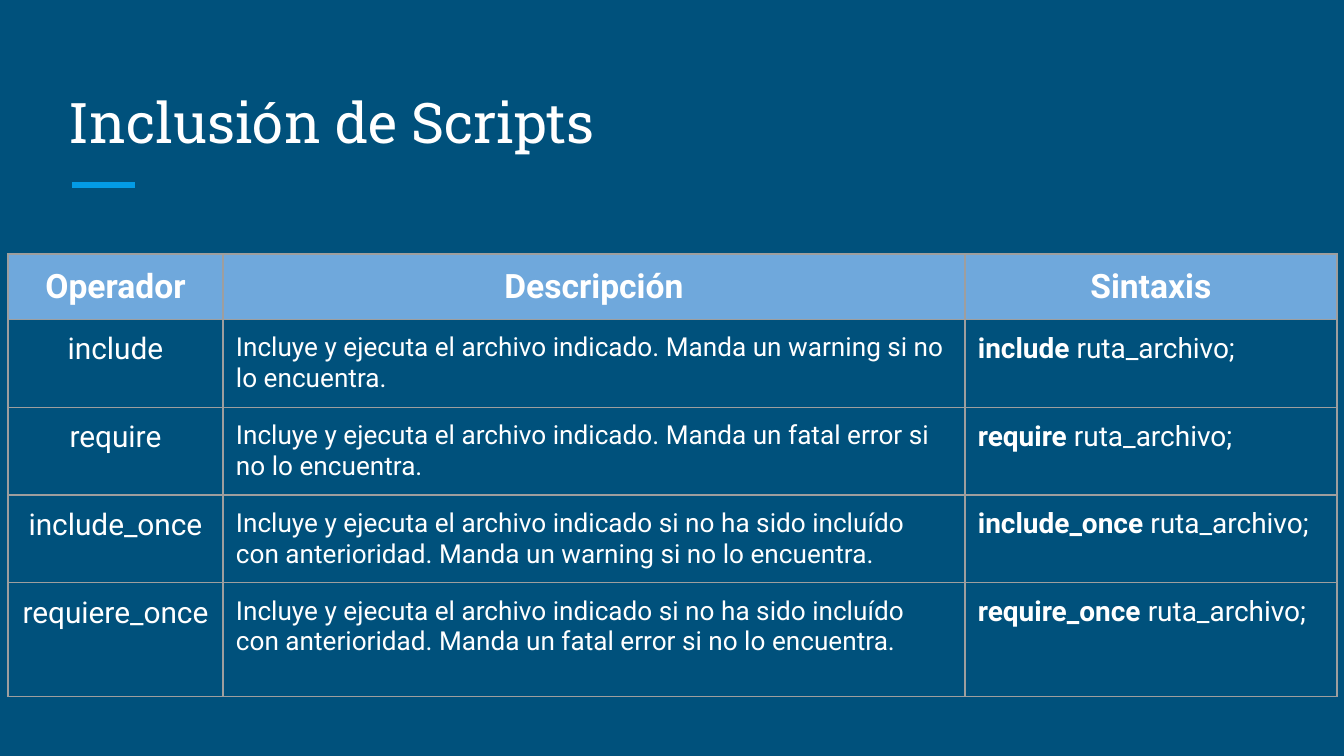
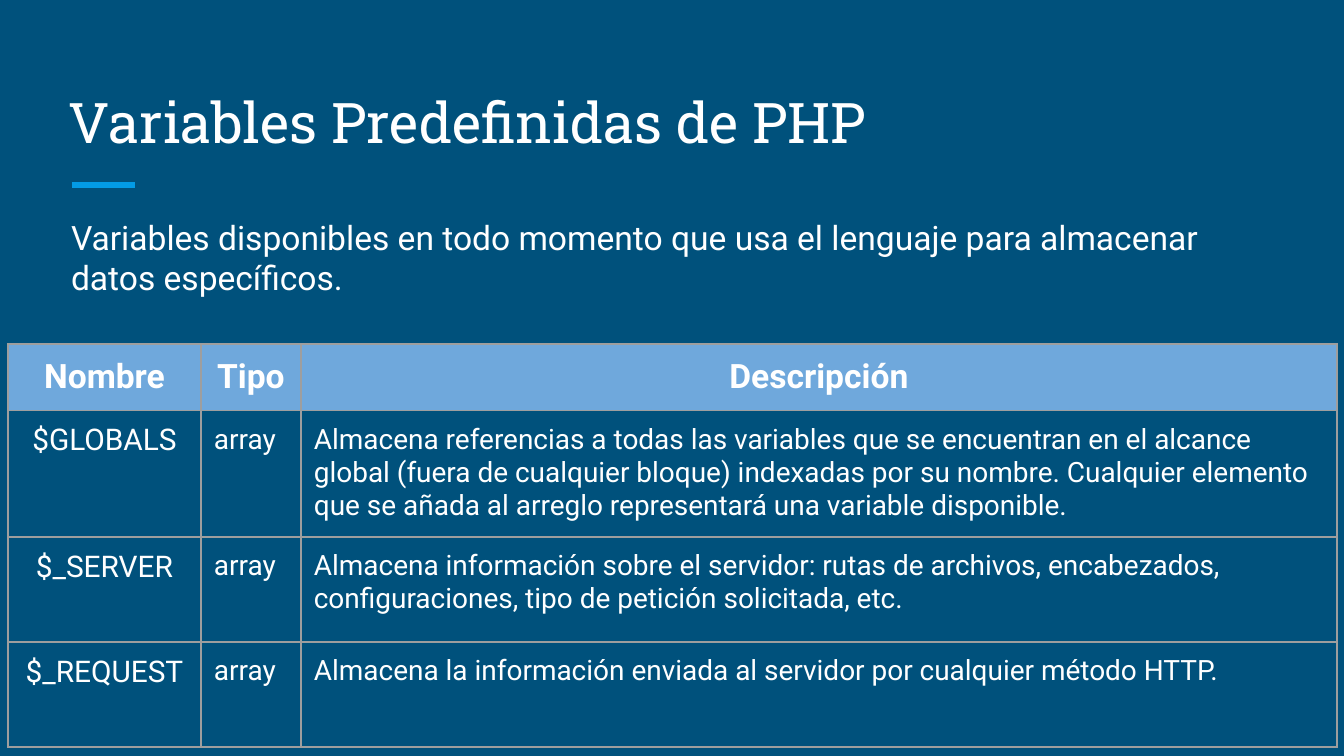
import pptx
import pptx.dml.color
import pptx.enum.shapes
import pptx.enum.text
import pptx.oxml
import pptx.oxml.ns
import pptx.util
from dataclasses import dataclass

ALIGN = pptx.enum.text.PP_ALIGN

# Each cell is a string, or a (bold keyword, plain rest) pair.
PAGES = [
    {
        "title": "Inclusión de Scripts",
        "table_top": 254,
        "columns": [215, 742, 372],
        "rows": [65, 85, 85, 85, 114],
        "sizes": [16, 14, 15],
        "cells": [
            ["Operador", "Descripción", "Sintaxis"],
            ["include",
             "Incluye y ejecuta el archivo indicado. Manda un warning si no lo encuentra.",
             ("include", " ruta_archivo;")],
            ["require",
             "Incluye y ejecuta el archivo indicado. Manda un fatal error si no lo encuentra.",
             ("require", " ruta_archivo;")],
            ["include_once",
             "Incluye y ejecuta el archivo indicado si no ha sido incluído con anterioridad. "
             "Manda un warning si no lo encuentra.",
             ("include_once", " ruta_archivo;")],
            ["requiere_once",
             "Incluye y ejecuta el archivo indicado si no ha sido incluído con anterioridad. "
             "Manda un fatal error si no lo encuentra.",
             ("require_once", " ruta_archivo;")],
        ],
    },
    {
        "title": "Variables Predefinidas de PHP",
        "intro": "Variables disponibles en todo momento que usa el lenguaje para almacenar "
                 "datos específicos.",
        "table_top": 344,
        "columns": [193, 100, 1036],
        "rows": [62, 117, 105, 105],
        "sizes": [16, 15, 15],
        "cells": [
            ["Nombre", "Tipo", "Descripción"],
            ["$GLOBALS", "array",
             "Almacena referencias a todas las variables que se encuentran en el alcance global "
             "(fuera de cualquier bloque) indexadas por su nombre. Cualquier elemento que se "
             "añada al arreglo representará una variable disponible."],
            ["$_SERVER", "array",
             "Almacena información sobre el servidor: rutas de archivos, encabezados, "
             "configuraciones, tipo de petición solicitada, etc."],
            ["$_REQUEST", "array",
             "Almacena la información enviada al servidor por cualquier método HTTP."],
        ],
    },
]


@dataclass(frozen=True)
class Theme:
    background: str = "00517C"
    accent: str = "039BE5"
    header: str = "6FA8DC"
    border: str = "9E9E9E"
    text: str = "FFFFFF"
    title_font: str = "Roboto Slab"
    body_font: str = "Roboto"
    title_size: int = 30
    body_size: int = 18
    accent_width: float = 3
    border_width: float = 0.75


THEME = Theme()
PAGE_SIZE = (1344, 756)
TITLE_BOX = (56, 67, 1230, 101)
ACCENT_LINE = (72, 185, 135, 185)
INTRO_BOX = (58, 204, 1245, 110)
TABLE_LEFT = 8
INSET = 13


def px(length):
    return pptx.util.Emu(round(length * 914400 / 134.4))


def color(code):
    return pptx.dml.color.RGBColor.from_string(code)


def style(para, font, size, bold=None, align=ALIGN.LEFT):
    para.alignment = align
    para.font.name = font
    para.font.size = pptx.util.Pt(size)
    para.font.bold = bold
    para.font.color.rgb = color(THEME.text)


def set_insets(target):
    """Give a text frame or a table cell the same margin on all sides."""
    target.margin_left = target.margin_right = px(INSET)
    target.margin_top = target.margin_bottom = px(INSET)


def add_title(page, text):
    title = page.shapes.title
    title.left, title.top, title.width, title.height = map(px, TITLE_BOX)
    frame = title.text_frame
    frame.text = text
    frame.auto_size = pptx.enum.text.MSO_AUTO_SIZE.NONE
    frame.vertical_anchor = pptx.enum.text.MSO_ANCHOR.BOTTOM
    set_insets(frame)
    style(frame.paragraphs[0], THEME.title_font, THEME.title_size)


def add_accent(page):
    line = page.shapes.add_connector(
        pptx.enum.shapes.MSO_CONNECTOR.STRAIGHT, *map(px, ACCENT_LINE))
    line.line.color.rgb = color(THEME.accent)
    line.line.width = pptx.util.Pt(THEME.accent_width)
    pptx.oxml.ns.qn("a:effectLst")
    line._element.spPr.append(pptx.oxml.parse_xml(
        f'<a:effectLst {pptx.oxml.ns.nsdecls("a")}/>'))


def add_intro(page, text):
    frame = page.shapes.add_textbox(*map(px, INTRO_BOX)).text_frame
    frame.word_wrap = True
    frame.text = text
    set_insets(frame)
    para = frame.paragraphs[0]
    style(para, THEME.body_font, THEME.body_size)
    para.space_after = pptx.util.Pt(10)


def add_borders(cell):
    """Insert the four edge lines ahead of the cell's fill, as the schema orders."""
    properties = cell._tc.get_or_add_tcPr()
    for index, edge in enumerate(("lnL", "lnR", "lnT", "lnB")):
        properties.insert(index, pptx.oxml.parse_xml(
            f'<a:{edge} {pptx.oxml.ns.nsdecls("a")} w="{pptx.util.Pt(THEME.border_width)}">'
            f'<a:solidFill><a:srgbClr val="{THEME.border}"/></a:solidFill></a:{edge}>'))


def fill_cell(cell, content, size, is_header, centered):
    para = cell.text_frame.paragraphs[0]
    style(para, THEME.body_font, size, is_header, ALIGN.CENTER if centered else ALIGN.LEFT)
    if isinstance(content, tuple):
        for text, bold in zip(content, (True, False)):
            span = para.add_run()
            span.text = text
            span.font.bold = bold
    else:
        para.add_run().text = content
    set_insets(cell)
    if is_header:
        cell.fill.solid()
        cell.fill.fore_color.rgb = color(THEME.header)
    else:
        cell.fill.background()
    add_borders(cell)


def add_table(page, content):
    columns, rows = content["columns"], content["rows"]
    table = page.shapes.add_table(
        len(rows), len(columns), px(TABLE_LEFT), px(content["table_top"]),
        px(sum(columns)), px(sum(rows))).table
    table.horz_banding = False
    for column, width in zip(table.columns, columns):
        column.width = px(width)
    for row, height in zip(table.rows, rows):
        row.height = px(height)
    for r, texts in enumerate(content["cells"]):
        for c, text in enumerate(texts):
            is_header = r == 0
            size = THEME.body_size if is_header else content["sizes"][c]
            fill_cell(table.cell(r, c), text, size, is_header, is_header or c == 0)


def main():
    deck = pptx.Presentation()
    deck.slide_width, deck.slide_height = map(px, PAGE_SIZE)
    backdrop = deck.slide_master.background.fill
    backdrop.solid()
    backdrop.fore_color.rgb = color(THEME.background)
    for content in PAGES:
        page = deck.slides.add_slide(deck.slide_layouts[5])
        add_accent(page)
        add_title(page, content["title"])
        if "intro" in content:
            add_intro(page, content["intro"])
        add_table(page, content)
    deck.save("out.pptx")


if __name__ == "__main__":
    main()
